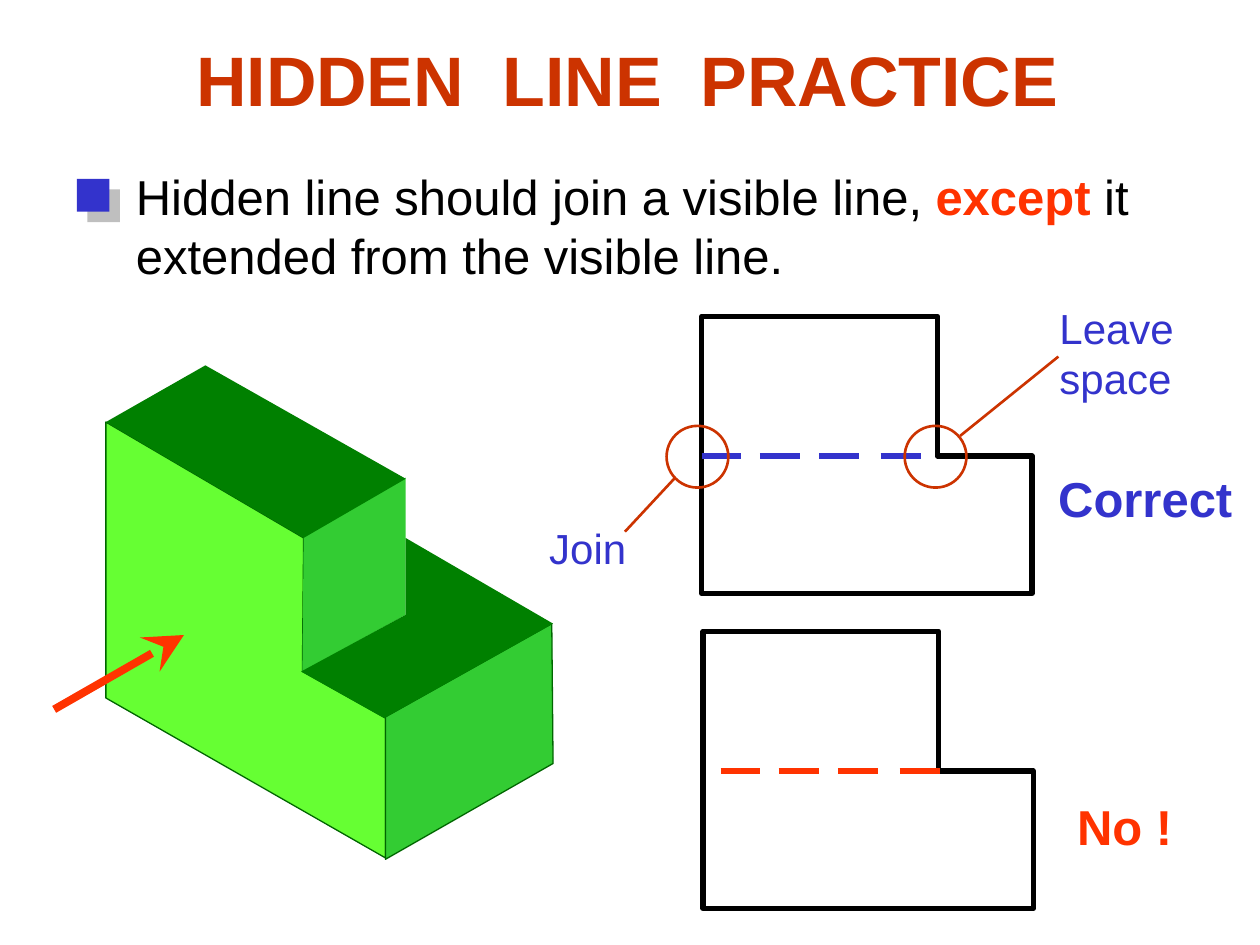
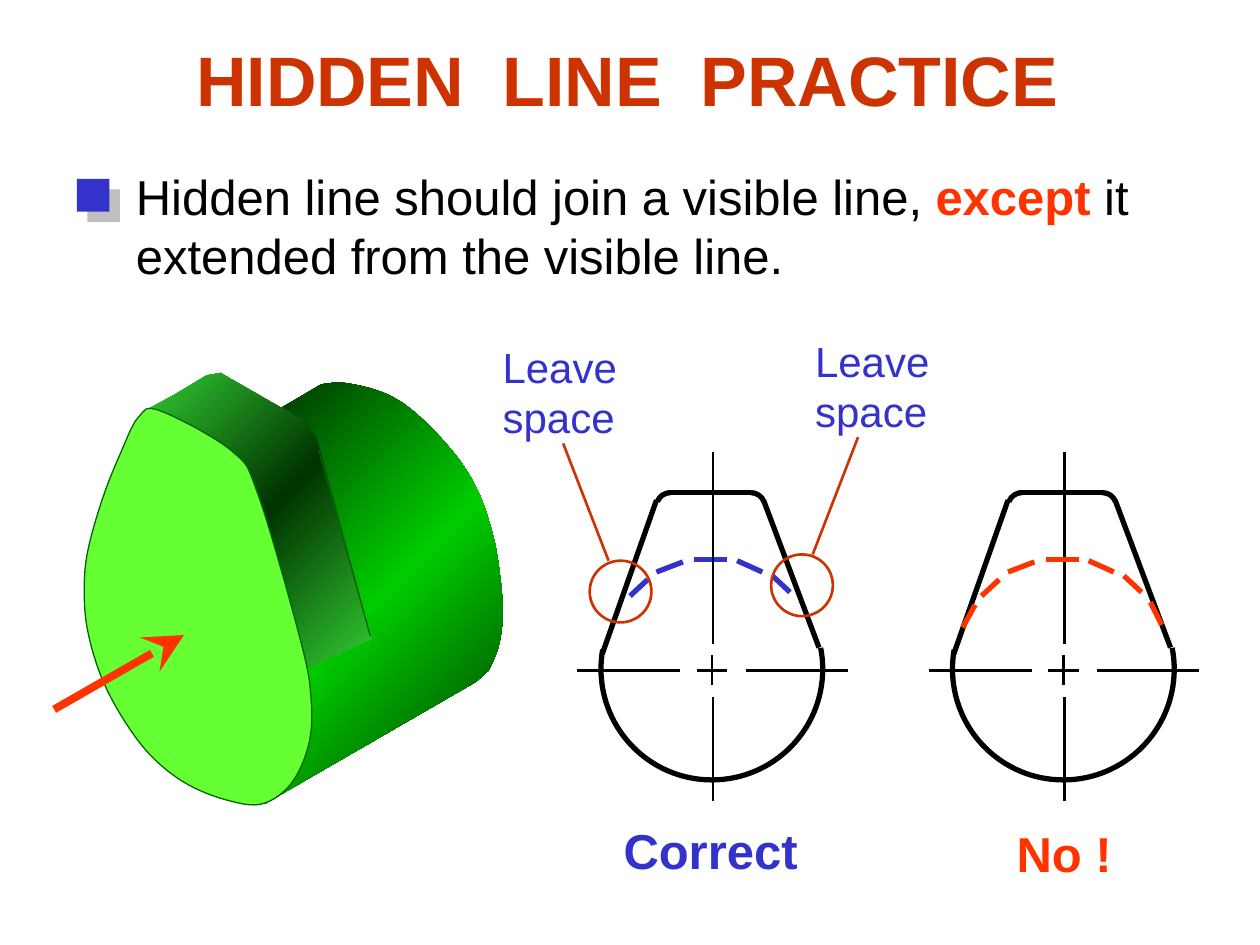
from copy import deepcopy
from dataclasses import dataclass
from itertools import pairwise
from math import cos, radians, sin, tan

from lxml import etree
from pptx import Presentation
from pptx.dml.color import RGBColor
from pptx.enum.shapes import MSO_CONNECTOR, MSO_SHAPE
from pptx.enum.text import MSO_ANCHOR, PP_ALIGN
from pptx.oxml.ns import qn
from pptx.util import Inches, Pt

STRAIGHT = MSO_CONNECTOR.STRAIGHT
RECTANGLE, OVAL = MSO_SHAPE.RECTANGLE, MSO_SHAPE.OVAL
LEFT, CENTER = PP_ALIGN.LEFT, PP_ALIGN.CENTER
TOP, MIDDLE = MSO_ANCHOR.TOP, MSO_ANCHOR.MIDDLE


@dataclass(frozen=True)
class Theme:
    font: str = "Arial"
    title_size: int = 40
    body_size: int = 28
    label_size: int = 24
    rust: str = "CC3300"
    red: str = "FF3300"
    blue: str = "3333CC"
    black: str = "000000"
    shadow: str = "808080"
    front: str = "66FF33"
    side: str = "33CC33"
    top: str = "008000"
    edge: str = "006600"
    drum: tuple = ("003400", "00CC00", "003400")
    flank: tuple = ("33CC33", "003300", "33CC33")
    edge_width: float = 0.75
    thin: float = 1.5
    thick: float = 3
    arrow: float = 4.5


THEME = Theme()


def rgb(color):
    return RGBColor.from_string(color)


# ---- Text and shape helpers; `at` is the left top corner of a region ----
def write(page, box, paras, size=THEME.label_size, color=THEME.blue,
          bold=False, align=LEFT, anchor=TOP, wrap=False):
    """Each paragraph is a list of (text, format overrides) spans."""
    frame = page.shapes.add_textbox(*map(Inches, box)).text_frame
    frame.word_wrap, frame.vertical_anchor = wrap, anchor
    for index, spans in enumerate(paras):
        para = frame.paragraphs[0] if index == 0 else frame.add_paragraph()
        para.alignment = align
        for text, changes in spans:
            for number, line in enumerate(text.split("\n")):
                if number:
                    para.add_line_break()
                span = para.add_run()
                span.text = line
                span.font.name, span.font.size = THEME.font, Pt(size)
                span.font.bold = changes.get("bold", bold)
                span.font.color.rgb = rgb(changes.get("color", color))


def set_gradient(shape, colors):
    shape.fill.gradient()
    shape.fill.gradient_angle = 315
    stop_list = shape._element.spPr.find(".//" + qn("a:gsLst"))
    stop_list.append(deepcopy(stop_list[0]))
    for stop, color, position in zip(shape.fill.gradient_stops, colors, (0, 0.5, 1)):
        stop.color.rgb, stop.position = rgb(color), position


def paint(shape, fill=None, line=None, width=THEME.edge_width):
    shape.shadow.inherit = False
    if fill is None:
        shape.fill.background()
    elif isinstance(fill, tuple):
        set_gradient(shape, fill)
    else:
        shape.fill.solid()
        shape.fill.fore_color.rgb = rgb(fill)
    if line is None:
        shape.line.fill.background()
    else:
        shape.line.color.rgb, shape.line.width = rgb(line), Pt(width)


def draw_outline(page, at, steps, closed=True, **look):
    """A step is a corner (x, y), or a curve (two control points and its end)."""
    steps = [[Inches(at[i % 2] + value) for i, value in enumerate(step)]
             for step in steps]
    builder = page.shapes.build_freeform(*steps[0], scale=1.0)
    builder.add_line_segments([step[-2:] for step in steps[1:]], close=closed)
    shape = builder.convert_to_shape()
    segments = list(shape._element.spPr.iter(qn("a:lnTo")))
    for segment, step in zip(segments, steps[1:]):
        if len(step) == 6:
            curve = etree.Element(qn("a:cubicBezTo"))
            for x, y in zip(step[::2], step[1::2]):
                etree.SubElement(curve, qn("a:pt"), x=str(x - shape.left),
                                 y=str(y - shape.top))
            segment.getparent().replace(segment, curve)
    paint(shape, **look)


def draw_line(page, at, ends, color=THEME.black, width=THEME.thick, arrow=False):
    x1, y1, x2, y2 = ends
    line = page.shapes.add_connector(
        STRAIGHT, Inches(at[0] + x1), Inches(at[1] + y1),
        Inches(at[0] + x2), Inches(at[1] + y2))
    line.line.color.rgb, line.line.width = rgb(color), Pt(width)
    if arrow:
        etree.SubElement(line.line._get_or_add_ln(), qn("a:tailEnd"),
                         type="stealth", w="lg", len="lg")
    etree.SubElement(line._element.spPr, qn("a:effectLst"))


def arc(center, radius, *angles):
    """Circular curve through the given angles, in degrees."""
    def spot(angle, reach=0):
        c, s = cos(radians(angle)), sin(radians(angle))
        return (center[0] + radius * (c - reach * s),
                center[1] + radius * (s + reach * c))

    steps = [spot(angles[0])]
    for start, end in pairwise(angles):
        reach = 4 / 3 * tan(radians(end - start) / 4)
        steps.append((*spot(start, reach), *spot(end, -reach), *spot(end)))
    return steps


def smooth(nodes, closed=False):
    """Catmull-Rom curve through the nodes."""
    if closed:
        ring = [nodes[-1], *nodes, nodes[0], nodes[1]]
    else:
        ring = [nodes[0], *nodes, nodes[-1]]
    steps = [nodes[0]]
    for a, b, c, d in zip(ring, ring[1:], ring[2:], ring[3:]):
        leave = [q + (r - p) / 6 for p, q, r in zip(a, b, c)]
        reach = [r - (s - q) / 6 for q, r, s in zip(b, c, d)]
        steps.append((*leave, *reach, *c))
    return steps


# ---- Parts shared by the slides ----
def add_heading(page):
    write(page, (0.73, 0, 8.5, 1.25), [[("HIDDEN  LINE  PRACTICE", {})]],
          size=THEME.title_size, color=THEME.rust, bold=True,
          align=CENTER, anchor=MIDDLE, wrap=True)


def add_rule(page, at):
    write(page, (at[0] + 0.37, at[1], 8.11, 1.03), [[
        ("Hidden line should join a visible line, ", {}),
        ("except", {"color": THEME.red, "bold": True}),
        (" it\nextended from the visible line.", {})]],
        size=THEME.body_size, color=THEME.black)
    # Square marker with an offset shadow
    marker = page.shapes.add_shape(RECTANGLE, Inches(at[0]), Inches(at[1] + 0.15),
                                   Inches(0.26), Inches(0.26))
    paint(marker, fill=THEME.blue)
    effects = marker._element.spPr.find(qn("a:effectLst"))
    shadow = etree.SubElement(effects, qn("a:outerShdw"), blurRad="0",
                              dist=str(Pt(8.5)), dir="2700000", algn="ctr")
    tint = etree.SubElement(shadow, qn("a:srgbClr"), val=THEME.shadow)
    etree.SubElement(tint, qn("a:alpha"), val="50000")


def add_view_arrow(page, at):
    draw_line(page, at, (0, 0.59, 1.03, 0), THEME.red, THEME.arrow, arrow=True)


def add_verdict(page, at, correct):
    text, width, color = (("Correct", 1.59, THEME.blue) if correct
                          else ("No !", 0.96, THEME.red))
    write(page, (*at, width, 0.57), [[(text, {})]],
          size=THEME.body_size, color=color, bold=True)


def add_callout(page, at, leader, label, label_box):
    """Circle at `at`, its leader line relative to it, and the label."""
    circle = page.shapes.add_shape(OVAL, *map(Inches, (*at, 0.49, 0.49)))
    paint(circle, line=THEME.rust, width=THEME.thin)
    draw_line(page, at, leader, THEME.rust, THEME.thin)
    write(page, label_box, [[(line, {})] for line in label])


# ---- Stepped block ----
def draw_stepped_solid(page, at):
    edged = {"line": THEME.edge}
    faces = [
        ([(0, 0.45), (0, 2.64), (2.22, 3.91), (2.22, 2.8), (1.56, 2.43), (1.57, 1.37)],
         THEME.front, edged),
        ([(2.22, 2.79), (3.54, 2.05), (3.55, 3.16), (2.22, 3.92)], THEME.side, edged),
        ([(1.57, 1.36), (2.38, 0.89), (2.38, 1.98), (1.56, 2.43)], THEME.side, {}),
        ([(0, 0.45), (0.79, 0), (2.38, 0.9), (1.57, 1.37)], THEME.top, {}),
        ([(2.38, 1.98), (2.38, 1.37), (3.55, 2.05), (2.21, 2.8), (1.55, 2.43)],
         THEME.top, {}),
    ]
    for points, fill, look in faces:
        draw_outline(page, at, points, fill=fill, **look)


def draw_stepped_view(page, at, color, dash_shift=0):
    draw_outline(page, at, [(0, 2.2), (0, 0), (1.87, 0), (1.87, 1.11),
                            (2.62, 1.11), (2.62, 2.2)],
                 line=THEME.black, width=THEME.thick)
    for start, end in ((0, 0.31), (0.46, 0.78), (0.93, 1.25), (1.42, 1.74)):
        draw_line(page, at, (start + dash_shift, 1.11, end + dash_shift, 1.11), color)


# ---- Cam with a drum behind it ----
def draw_cam_solid(page, at):
    rim = smooth([(1.89, 0.09), (2.08, 0.08), (2.39, 0.16), (2.64, 0.32),
                  (2.93, 0.62), (3.12, 0.91), (3.24, 1.24), (3.3, 1.54),
                  (3.33, 1.89), (3.3, 2.16), (3.22, 2.36)])
    inner = [(3.12, 2.45), (1.44, 3.42), (1.68, 3.23), (1.77, 3.01), (1.8, 2.68),
             (1.75, 2.32), (2.25, 2.08), (1.85, 0.54), (1.77, 0.41), (1.55, 0.29)]
    flank = [(0.49, 0.3), (0.73, 0.17), (0.98, 0.02), (1.09, 0), (1.75, 0.38),
             (1.85, 0.51), (2.29, 2.11), (1.77, 2.35), (1.44, 1.13), (1.33, 0.83),
             (1.15, 0.61), (0.92, 0.45), (0.63, 0.32)]
    front = [(0.03, 1.45), (0.01, 1.81), (0.05, 2.11), (0.16, 2.45), (0.34, 2.78),
             (0.55, 3.05), (0.82, 3.26), (1.14, 3.39), (1.42, 3.42), (1.65, 3.26),
             (1.79, 2.95), (1.81, 2.6), (1.73, 2.14), (1.39, 0.97), (1.18, 0.62),
             (0.61, 0.3), (0.44, 0.35), (0.3, 0.63), (0.15, 1.01)]
    draw_outline(page, at, rim + inner, fill=THEME.drum)
    draw_outline(page, at, flank, fill=THEME.flank)
    draw_outline(page, at, smooth(front, closed=True), fill=THEME.front, line=THEME.edge)
    draw_line(page, at, (2.28, 2.09, 1.87, 0.61), THEME.edge, THEME.edge_width)


def draw_cam_view(page, at):
    # Visible outline
    for curve in (arc((1.07, 1.72), 0.88, 190, 180, 90, 0, -11),
                  arc((1.38, 0.43), 0.11, 270, 339),
                  arc((0.74, 0.43), 0.11, 270, 201)):
        draw_outline(page, at, curve, closed=False, line=THEME.black, width=THEME.thick)
    for side in ((0.2, 1.6, 0.63, 0.38), (1.92, 1.55, 1.48, 0.38),
                 (0.72, 0.32, 1.38, 0.32)):
        draw_line(page, at, side)
    # Centre lines
    for x1, x2 in ((0, 0.82), (1.34, 2.15), (0.95, 1.19)):
        draw_line(page, at, (x1, 1.73, x2, 1.73), width=THEME.thin)
    for x, y1, y2 in ((1.07, 1.85, 1.61), (1.08, 1.94, 2.77), (1.08, 1.52, 0)):
        draw_line(page, at, (x, y1, x, y2), width=THEME.thin)


def draw_hidden_arc(page, at, color, touches_sides=False):
    dashes = [(0.42, 1.14, 0.56, 1.01), (1.69, 1.11, 1.55, 0.98),
              (0.63, 0.95, 0.84, 0.87), (0.93, 0.85, 1.19, 0.85),
              (1.47, 0.95, 1.27, 0.86)]
    if touches_sides:
        dashes += [(0.27, 1.39, 0.37, 1.21), (1.85, 1.37, 1.76, 1.19)]
    for dash in dashes:
        draw_line(page, at, dash, color)


# ---- Slides ----
def start_page(deck, draw_solid, solid_at):
    page = deck.slides.add_slide(deck.slide_layouts[6])
    add_heading(page)
    add_rule(page, (0.61, 1.27))
    draw_solid(page, solid_at)
    add_view_arrow(page, (0.43, 5.04))
    return page


def build_stepped_page(deck):
    page = start_page(deck, draw_stepped_solid, (0.84, 2.9))
    draw_stepped_view(page, (5.57, 2.51), THEME.blue)
    draw_stepped_view(page, (5.58, 5.01), THEME.red, dash_shift=0.14)
    add_verdict(page, (8.3, 3.67), True)
    add_verdict(page, (8.45, 6.27), False)
    add_callout(page, (5.29, 3.38), (0.07, 0.41, -0.33, 0.84),
                ["Join"], (4.26, 4.1, 0.81, 0.5))
    add_callout(page, (7.18, 3.38), (0.44, 0.08, 1.22, -0.55),
                ["Leave", "space"], (8.31, 2.35, 1.11, 0.9))


def build_cam_page(deck):
    page = start_page(deck, draw_cam_solid, (0.66, 2.96))
    correct_at, wrong_at = (4.58, 3.59), (7.37, 3.59)
    draw_hidden_arc(page, correct_at, THEME.blue)
    draw_cam_view(page, correct_at)
    draw_cam_view(page, wrong_at)
    draw_hidden_arc(page, wrong_at, THEME.red, touches_sides=True)
    add_verdict(page, (4.85, 6.46), True)
    add_verdict(page, (7.97, 6.49), False)
    add_callout(page, (6.12, 4.4), (0.33, 0, 0.69, -0.93),
                ["Leave", "space"], (6.37, 2.61, 1.11, 0.9))
    add_callout(page, (4.68, 4.45), (0.15, 0, -0.21, -0.93),
                ["Leave", "space"], (3.89, 2.66, 1.11, 0.9))


def main():
    deck = Presentation()
    deck.slide_width, deck.slide_height = Inches(10), Inches(7.5)
    build_stepped_page(deck)
    build_cam_page(deck)
    deck.save("out.pptx")


if __name__ == "__main__":
    main()
